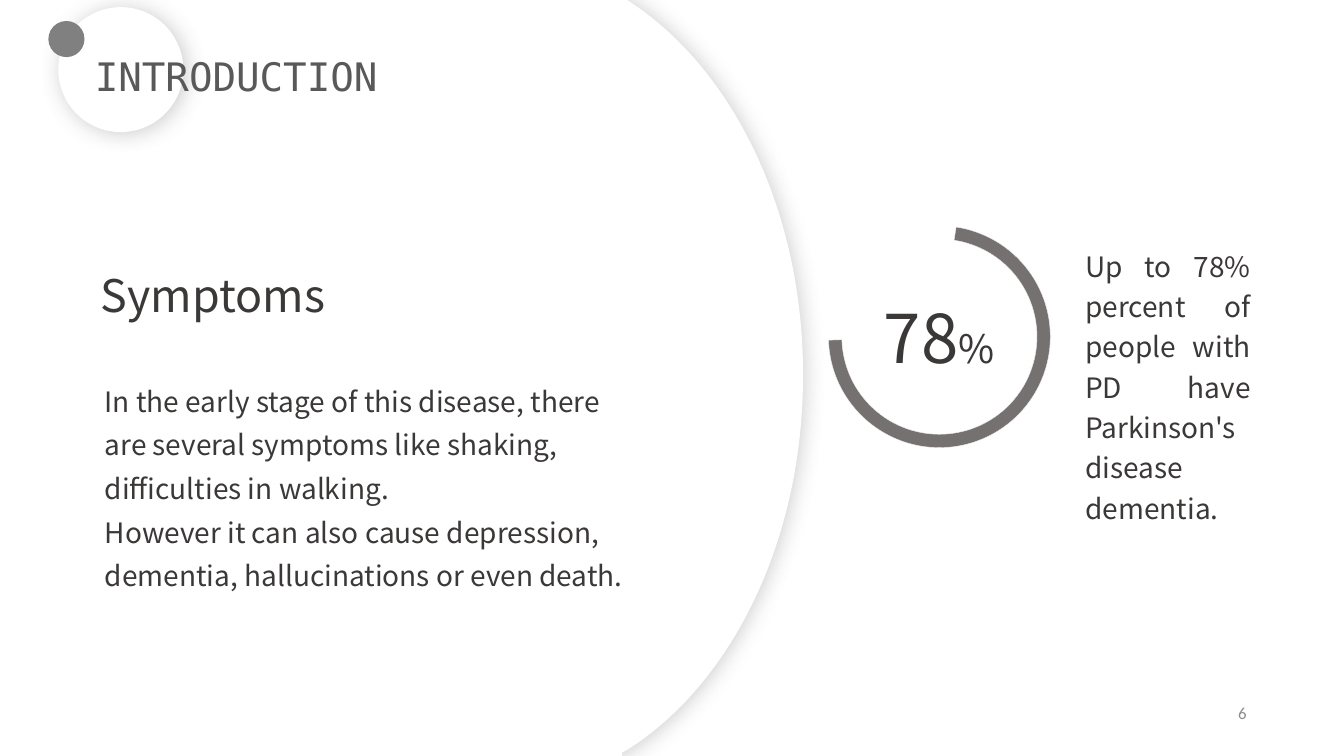
from lxml import etree
from pptx import Presentation
from pptx.dml.color import RGBColor
from pptx.enum import shapes, text
from pptx.oxml import ns
from pptx.util import Cm, Pt

WHITE = RGBColor(0xFF, 0xFF, 0xFF)
PALE = RGBColor(0xF2, 0xF2, 0xF2)
GREY = RGBColor(0x80, 0x80, 0x80)
RING = RGBColor(0x76, 0x71, 0x71)
INK = RGBColor(0x3B, 0x38, 0x38)
TITLE = RGBColor(0x59, 0x59, 0x59)
FAINT = RGBColor(0x8C, 0x8C, 0x8C)
SANS = "Noto Sans CJK SC"


def paint(shape, color, shadow=False):
    """Fill without outline; optionally cast a soft outer shadow."""
    shape.fill.solid()
    shape.fill.fore_color.rgb = color
    shape.line.fill.background()
    shape.shadow.inherit = False
    if shadow:
        effects = shape._element.spPr.find(ns.qn("a:effectLst"))
        outer = etree.SubElement(effects, ns.qn("a:outerShdw"), blurRad=str(Pt(16)),
                                 dist=str(Pt(2)), dir=str(30 * 60000), rotWithShape="0")
        tint = etree.SubElement(outer, ns.qn("a:srgbClr"), val=str(GREY))
        etree.SubElement(tint, ns.qn("a:alpha"), val="40000")


def write(box, paras, color=INK, font=SANS, align=None, space=None, middle=False, wrap=True):
    """Add a text box; each paragraph is a list of (words, size) runs."""
    frame = slide.shapes.add_textbox(*map(Cm, box)).text_frame
    frame.word_wrap = wrap
    if middle:
        frame.vertical_anchor = text.MSO_ANCHOR.MIDDLE
    for i, runs in enumerate(paras):
        para = frame.add_paragraph() if i else frame.paragraphs[0]
        para.alignment = align
        para.line_spacing = space
        for words, size in runs:
            run = para.add_run()
            run.text = words
            run.font.size = Pt(size)
            run.font.name = font
            run.font.color.rgb = color
    return frame


deck = Presentation()
deck.slide_width, deck.slide_height = Cm(33.87), Cm(19.05)
slide = deck.slides.add_slide(deck.slide_layouts[6])

# Left panel with a curved right edge, traced along two Bézier arcs
arcs = [
    [(15.88, 0.05), (18.47, 1.75), (20.24, 5.31), (20.24, 9.45)],
    [(20.24, 9.45), (20.24, 13.59), (18.47, 17.17), (15.88, 18.85)],
]
steps = 40
edge = [(15.72, -0.05)]
for arc in arcs:
    for i in range(steps + 1):
        t = i / steps
        parts = ((1 - t) ** 3, 3 * t * (1 - t) ** 2, 3 * t ** 2 * (1 - t), t ** 3)
        edge.append(tuple(sum(p * point[k] for p, point in zip(parts, arc)) for k in (0, 1)))
edge += [(15.67, 18.97), (15.67, 19.05), (0, 19.05)]
panel = slide.shapes.build_freeform(Cm(0), Cm(-0.05))
panel.add_line_segments([(Cm(x), Cm(y)) for x, y in edge])
paint(panel.convert_to_shape(), WHITE, shadow=True)

# Title badge
badge = slide.shapes.add_group_shape()
for left, top, size, color, shadow in [
    (1.47, 0.18, 3.15, WHITE, True),
    (1.22, 0.53, 0.91, GREY, False),
]:
    disc = badge.shapes.add_shape(shapes.MSO_SHAPE.OVAL, Cm(left), Cm(top), Cm(size), Cm(size))
    disc.rotation = 28.5
    paint(disc, color, shadow)

write((24.05, 17.45, 7.62, 1.02), [[("6", 12)]], FAINT, "Calibri",
      text.PP_ALIGN.RIGHT, middle=True)

# Percentage ring
ring = slide.shapes.add_shape(shapes.MSO_SHAPE.BLOCK_ARC, Cm(20.88), Cm(5.69), Cm(5.59), Cm(5.59))
for i, value in enumerate((167.22, 106.92, 0.06)):
    ring.adjustments[i] = value
paint(ring, RING)
ring.line.color.rgb = PALE
ring.line.width = Pt(0.25)

write((21.97, 7.32, 3.4, 2.31), [[("78", 48), ("%", 28)]],
      align=text.PP_ALIGN.CENTER, middle=True, wrap=False)
write((27.1, 5.99, 4.67, 7.34),
      [[("Up to 78% percent of people with PD have Parkinson's disease dementia.", 20)]],
      align=text.PP_ALIGN.JUSTIFY, space=1.2)
write((2.29, 6.63, 7.9, 1.63), [[("Symptoms", 32)]])
write((2.39, 9.3, 13.72, 5.72), [
    [("In the early stage of this disease, there are several symptoms like shaking, "
      "difficulties in walking.", 20)],
    [("However it can also cause depression, dementia, hallucinations or even death.", 20)],
], space=1.3)
head = write((2.39, 1.32, 7.9, 1.19), [[("INTRODUCTION", 28)]], TITLE, "DejaVu Sans Mono", middle=True)
head.margin_left = head.margin_right = head.margin_top = head.margin_bottom = 0

deck.save("out.pptx")
